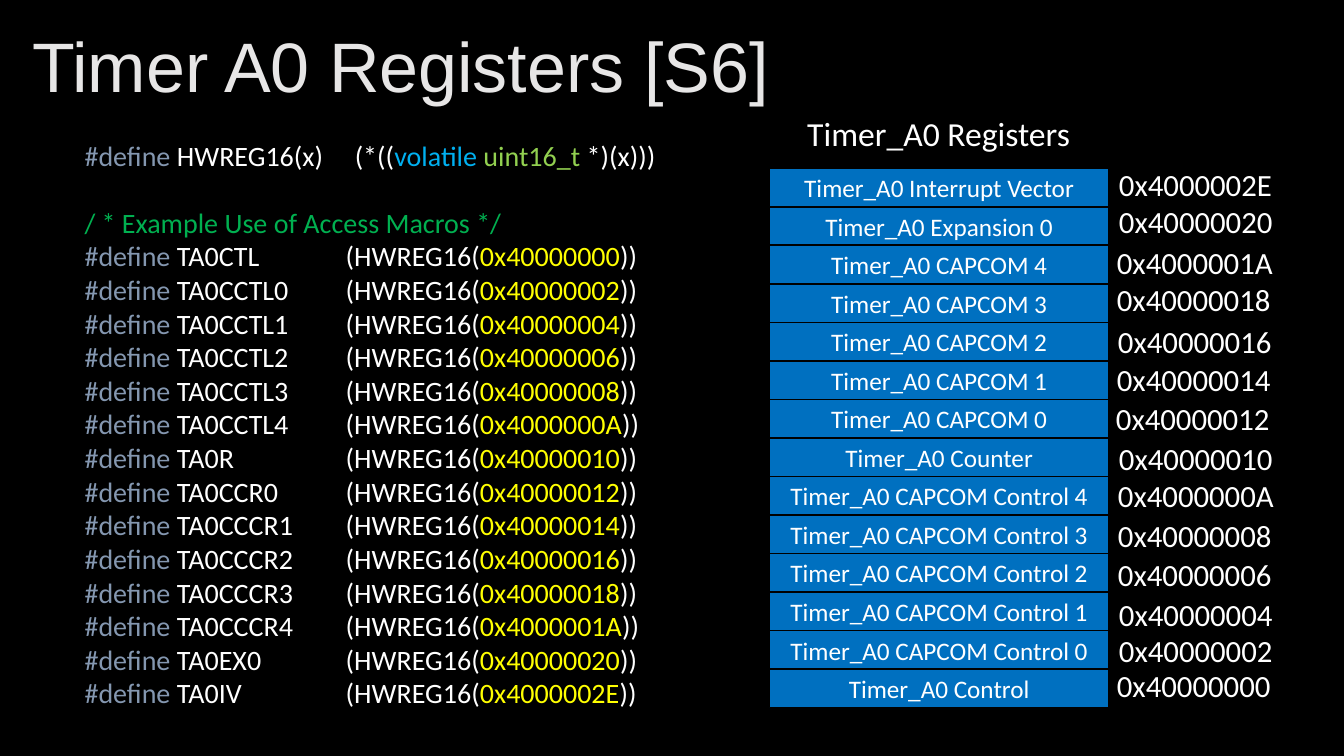
import pptx
import pptx.dml.color
import pptx.enum.shapes
import pptx.enum.text
import pptx.oxml.ns
import pptx.util
from lxml import etree

Inches = pptx.util.Inches
Pt = pptx.util.Pt
ALIGN = pptx.enum.text.PP_ALIGN
ANCHOR = pptx.enum.text.MSO_ANCHOR

COLORS = {
    "background": "000000",
    "title": "E7E6E6",
    "text": "FFFFFF",
    "register": "0070C0",
    "directive": "8497B0",
    "keyword": "00B0F0",
    "type": "92D050",
    "comment": "00B050",
    "address": "FFFF00",
}

# Register, macro, address, left and top of the address label; lowest first
REGISTERS = [
    ("Control", "TA0CTL", "0x40000000", 10.98, 6.57),
    ("CAPCOM Control 0", "TA0CCTL0", "0x40000002", 11, 6.22),
    ("CAPCOM Control 1", "TA0CCTL1", "0x40000004", 11, 5.86),
    ("CAPCOM Control 2", "TA0CCTL2", "0x40000006", 10.99, 5.46),
    ("CAPCOM Control 3", "TA0CCTL3", "0x40000008", 10.99, 5.08),
    ("CAPCOM Control 4", "TA0CCTL4", "0x4000000A", 10.99, 4.68),
    ("Counter", "TA0R", "0x40000010", 11, 4.31),
    ("CAPCOM 0", "TA0CCR0", "0x40000012", 10.97, 3.92),
    ("CAPCOM 1", "TA0CCCR1", "0x40000014", 10.98, 3.53),
    ("CAPCOM 2", "TA0CCCR2", "0x40000016", 10.99, 3.15),
    ("CAPCOM 3", "TA0CCCR3", "0x40000018", 10.98, 2.74),
    ("CAPCOM 4", "TA0CCCR4", "0x4000001A", 10.98, 2.37),
    ("Expansion 0", "TA0EX0", "0x40000020", 11, 1.96),
    ("Interrupt Vector", "TA0IV", "0x4000002E", 11, 1.6),
]
MAP_TOP, MAP_BOTTOM_ROW = 1.67, 6.64
ROW_PITCH = (MAP_BOTTOM_ROW - MAP_TOP) / (len(REGISTERS) - 1)


def rgb(name):
    return pptx.dml.color.RGBColor.from_string(COLORS[name])


class SlideBuilder:
    """Holds the font and the slide, and adds styled elements to it."""

    def __init__(self, slide, font="Calibri"):
        self.slide = slide
        self.font = font

    def background(self, color):
        fill = self.slide.background.fill
        fill.solid()
        fill.fore_color.rgb = rgb(color)

    def style(self, paragraph, size, color=None, font=None):
        paragraph.font.name = font or self.font
        paragraph.font.size = Pt(size)
        if color:
            paragraph.font.color.rgb = rgb(color)

    def text_box(self, left, top, width, height):
        box = self.slide.shapes.add_textbox(
            Inches(left), Inches(top), Inches(width), Inches(height))
        box.text_frame.word_wrap = True
        return box.text_frame

    def label(self, text, left, top, width, height, size,
              color="text", font=None, align=ALIGN.LEFT, anchor=ANCHOR.TOP):
        frame = self.text_box(left, top, width, height)
        frame.vertical_anchor = anchor
        paragraph = frame.paragraphs[0]
        paragraph.text = text
        paragraph.alignment = align
        self.style(paragraph, size, color, font)
        return paragraph

    def register(self, group, text, left, top, width, height):
        shape = group.shapes.add_shape(
            pptx.enum.shapes.MSO_SHAPE.RECTANGLE,
            Inches(left), Inches(top), Inches(width), Inches(height))
        shape.shadow.inherit = False
        shape.fill.solid()
        shape.fill.fore_color.rgb = rgb("register")
        shape.line.color.rgb = rgb("background")
        shape.line.width = Pt(1)
        shape.text_frame.vertical_anchor = ANCHOR.MIDDLE
        paragraph = shape.text_frame.paragraphs[0]
        paragraph.text = text
        paragraph.alignment = ALIGN.CENTER
        self.style(paragraph, 18, "text")

    def code_line(self, paragraph, pieces, tab=None):
        if tab:
            properties = paragraph._p.get_or_add_pPr()
            tabs = etree.SubElement(properties, pptx.oxml.ns.qn("a:tabLst"))
            etree.SubElement(tabs, pptx.oxml.ns.qn("a:tab"),
                             pos=str(Inches(tab)), algn="l")
        self.style(paragraph, 20)
        for text, color in pieces:
            run = paragraph.add_run()
            run.text = text
            run.font.color.rgb = rgb(color)


def main():
    presentation = pptx.Presentation()
    presentation.slide_width = Inches(13.33)
    presentation.slide_height = Inches(7.5)
    slide = presentation.slides.add_slide(presentation.slide_layouts[6])
    builder = SlideBuilder(slide)
    builder.background("background")

    # Title
    title = builder.label("Timer A0 Registers [S6]", 0.22, 0.21, 12.89, 0.97, 50,
                          "title", "Arial", anchor=ANCHOR.MIDDLE)
    title.line_spacing = 0.9

    # Register map, highest address on top
    group = slide.shapes.add_group_shape()
    for row, (name, *_) in enumerate(reversed(REGISTERS)):
        builder.register(group, f"Timer_A0 {name}",
                         7.63, MAP_TOP + row * ROW_PITCH, 3.37, 0.38)
    builder.label("Timer_A0 Registers", 7.61, 1.07, 3.4, 0.5, 24,
                  align=ALIGN.CENTER)

    # Address labels
    for _, _, address, left, top in REGISTERS:
        builder.label(address, left, top, 1.76, 0.47, 22)

    # Access macros
    code = builder.text_box(0.74, 1.32, 7.08, 5.89)
    builder.code_line(code.paragraphs[0], [
        ("#define", "directive"), (" HWREG16(x)\t(*((", "text"),
        ("volatile ", "keyword"), ("uint16_t", "type"), (" *)(x)))", "text"),
    ], tab=2.68)
    comment = code.add_paragraph()
    builder.code_line(comment, [("/ * Example Use of Access Macros */", "comment")])
    comment.space_before = Pt(24)
    for _, macro, address, _, _ in REGISTERS:
        builder.code_line(code.add_paragraph(), [
            ("#define ", "directive"), (f"{macro}\t(HWREG16(", "text"),
            (address, "address"), ("))", "text"),
        ], tab=2.59)

    presentation.save("out.pptx")


if __name__ == "__main__":
    main()
